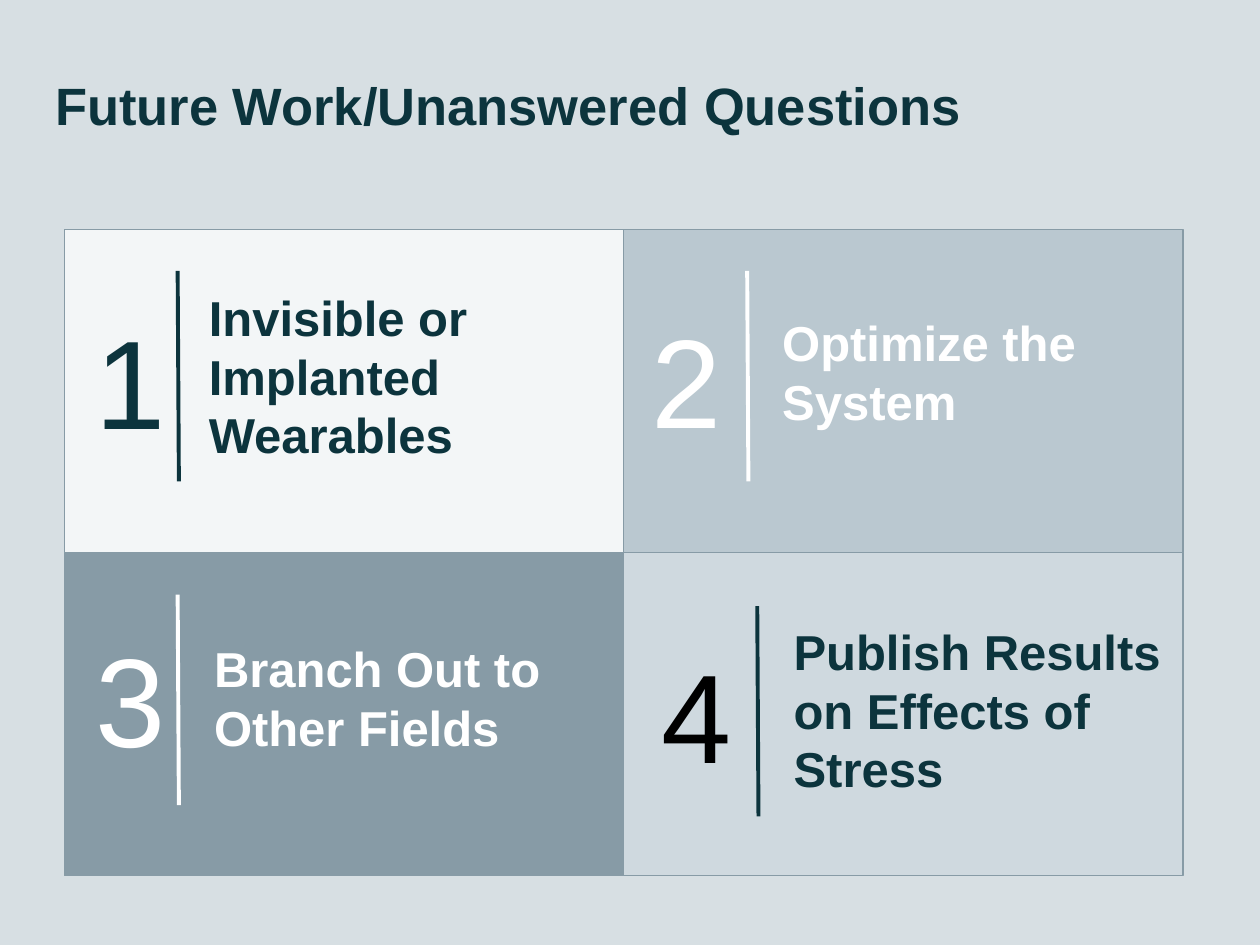
from dataclasses import dataclass

from lxml import etree
from pptx import Presentation
from pptx.dml.color import RGBColor
from pptx.enum.shapes import MSO_CONNECTOR, MSO_SHAPE
from pptx.enum.text import MSO_ANCHOR
from pptx.oxml.ns import qn
from pptx.util import Inches, Pt

RECT = MSO_SHAPE.RECTANGLE
STRAIGHT = MSO_CONNECTOR.STRAIGHT
TOP = MSO_ANCHOR.TOP

FONT = "Arial"
COLORS = {
    "background": "D7DFE3",
    "border": "879BA6",
    "dark": "0C343D",
    "white": "FFFFFF",
    "black": "000000",
    "pale": "F3F6F7",
    "mist": "BAC8D0",
    "slate": "879BA6",
    "cloud": "CFD9DF",
}

# Grid of four touching cells
GRID_X, GRID_Y = 0.51, 1.82
CELL_W, CELL_H = 4.44, 2.565
BAR_LEAN, BAR_H = 0.01, 1.67
NUMBER_W, NUMBER_H = 0.69, 1.59


@dataclass
class Quadrant:
    number: int
    fill: str
    color: str
    number_color: str
    number_at: tuple[float, float]
    bar_at: tuple[float, float]
    text_box: tuple[float, float, float, float]
    paragraphs: list[str]  # a newline is a line break inside the paragraph


QUADRANTS = [
    Quadrant(1, "pale", "dark", "dark", (0.66, 2.31), (1.41, 2.15),
             (1.56, 2.18, 3.44, 1.59), ["Invisible or Implanted", "Wearables"]),
    Quadrant(2, "mist", "white", "white", (5.07, 2.3), (5.93, 2.15),
             (6.11, 2.38, 3.22, 1.43), ["Optimize the System"]),
    Quadrant(3, "slate", "white", "white", (0.66, 4.83), (1.41, 4.72),
             (1.6, 4.97, 3.22, 1.43), ["Branch Out to", "Other Fields"]),
    Quadrant(4, "cloud", "dark", "black", (5.15, 4.96), (6.01, 4.81),
             (6.2, 4.83, 3.38, 1.59), ["Publish Results", "on Effects of\nStress"]),
]


def rgb(name: str) -> RGBColor:
    return RGBColor.from_string(COLORS[name])


def add_text(s, box: tuple[float, float, float, float], paragraphs: list[str],
             size: float, color: str, bold: bool = False) -> None:
    tf = s.shapes.add_textbox(*map(Inches, box)).text_frame
    tf.word_wrap = True
    tf.vertical_anchor = TOP
    tf.margin_left = tf.margin_right = Inches(0.1)
    tf.margin_top = tf.margin_bottom = Inches(0.1)
    for i, text in enumerate(paragraphs):
        p = tf.add_paragraph() if i else tf.paragraphs[0]
        for j, line in enumerate(text.split("\n")):
            if j:
                p.add_line_break()
            r = p.add_run()
            r.text = line
            r.font.name = FONT
            r.font.size = Pt(size)
            r.font.bold = bold
            r.font.color.rgb = rgb(color)


def add_cell(s, q: Quadrant) -> None:
    row, col = divmod(q.number - 1, 2)
    sp = s.shapes.add_shape(RECT, Inches(GRID_X + col * CELL_W),
                            Inches(GRID_Y + row * CELL_H),
                            Inches(CELL_W), Inches(CELL_H))
    sp.shadow.inherit = False
    sp.fill.solid()
    sp.fill.fore_color.rgb = rgb(q.fill)
    sp.line.color.rgb = rgb("border")
    sp.line.width = Pt(0.75)


def add_bar(s, q: Quadrant) -> None:
    x, y = q.bar_at
    bar = s.shapes.add_connector(STRAIGHT, Inches(x), Inches(y),
                                 Inches(x + BAR_LEAN), Inches(y + BAR_H))
    bar.line.color.rgb = rgb(q.color)
    bar.line.width = Pt(2.25)
    etree.SubElement(bar.element.spPr, qn("a:effectLst"))


def main() -> None:
    prs = Presentation()
    prs.slide_width, prs.slide_height = Inches(10), Inches(7.5)
    s = prs.slides.add_slide(prs.slide_layouts[6])
    s.background.fill.solid()
    s.background.fill.fore_color.rgb = rgb("background")

    # Title
    add_text(s, (0.34, 0.48, 9.32, 0.83), ["Future Work/Unanswered Questions"],
             30, "dark", bold=True)

    # Cells, lower row behind the upper one
    for q in QUADRANTS[2:] + QUADRANTS[:2]:
        add_cell(s, q)

    # Number, divider bar and label of each cell
    for q in QUADRANTS:
        add_text(s, (*q.number_at, NUMBER_W, NUMBER_H), [str(q.number)],
                 72, q.number_color)
        add_bar(s, q)
        add_text(s, q.text_box, q.paragraphs, 28, q.color, bold=True)

    prs.save("out.pptx")


if __name__ == "__main__":
    main()
